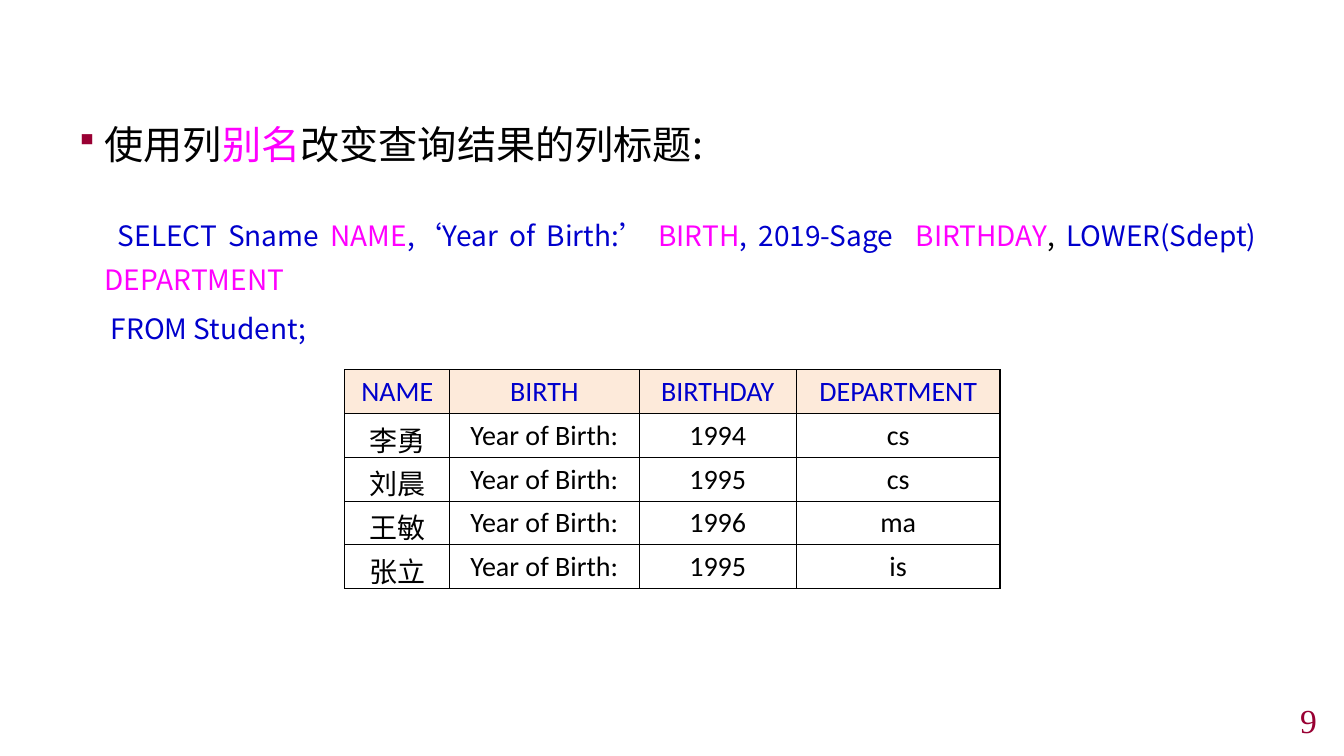
from dataclasses import dataclass

from lxml import etree
from pptx import Presentation
from pptx.dml.color import RGBColor
from pptx.enum.text import MSO_ANCHOR, PP_ALIGN
from pptx.oxml.ns import qn
from pptx.util import Emu, Inches, Pt

BLACK = RGBColor(0x00, 0x00, 0x00)
BLUE = RGBColor(0x00, 0x00, 0xCC)
MAGENTA = RGBColor(0xFF, 0x00, 0xFF)
CRIMSON = RGBColor(0x99, 0x00, 0x33)
PEACH = RGBColor(0xFD, 0xEA, 0xDA)
LEFT, CENTER, RIGHT = PP_ALIGN.LEFT, PP_ALIGN.CENTER, PP_ALIGN.RIGHT
JUSTIFY = PP_ALIGN.JUSTIFY
TOP, MIDDLE = MSO_ANCHOR.TOP, MSO_ANCHOR.MIDDLE
CJK, LATIN, SERIF = "Noto Sans CJK SC", "Calibri", "Times New Roman"

prs = Presentation()
prs.slide_width, prs.slide_height = Inches(13.33), Inches(7.5)


def across(percent: float) -> Emu:
    return Emu(round(prs.slide_width * percent / 100))


def down(percent: float) -> Emu:
    return Emu(round(prs.slide_height * percent / 100))


@dataclass
class Line:
    runs: list[tuple[str, RGBColor]]
    size: int
    font: str = CJK
    align: PP_ALIGN = LEFT
    before: float = 0
    spacing: float = 1.0
    margin: float = 0
    indent: float = 0
    bullet: str = ""


@dataclass
class Box:
    left: float
    top: float
    width: float
    height: float
    anchor: MSO_ANCHOR
    lines: list[Line]


def add_bullet(p, char: str) -> None:
    pPr = p._p.get_or_add_pPr()
    color = etree.SubElement(pPr, qn("a:buClr"))
    etree.SubElement(color, qn("a:srgbClr"), val=str(CRIMSON))
    etree.SubElement(pPr, qn("a:buSzPct"), val="80000")
    etree.SubElement(pPr, qn("a:buChar"), char=char)


def write_line(p, line: Line) -> None:
    if line.bullet:
        add_bullet(p, line.bullet)
    if line.margin:
        pPr = p._p.get_or_add_pPr()
        pPr.set("marL", str(Inches(line.margin)))
        pPr.set("indent", str(Inches(line.indent)))
    layout = {"alignment": line.align, "line_spacing": line.spacing,
              "space_before": Pt(line.before)}
    for name, value in layout.items():
        setattr(p, name, value)
    for text, color in line.runs:
        r = p.add_run()
        r.text = text
        for name, value in {"size": Pt(line.size), "name": line.font}.items():
            setattr(r.font, name, value)
        r.font.color.rgb = color
        etree.SubElement(r._r.get_or_add_rPr(), qn("a:ea"), typeface=CJK)


def add_box(s, box: Box) -> None:
    sp = s.shapes.add_textbox(across(box.left), down(box.top),
                              across(box.width), down(box.height))
    tf = sp.text_frame
    for name, value in {"word_wrap": True, "vertical_anchor": box.anchor}.items():
        setattr(tf, name, value)
    for i, line in enumerate(box.lines):
        write_line(tf.add_paragraph() if i else tf.paragraphs[0], line)


def add_borders(cell) -> None:
    tcPr = cell._tc.get_or_add_tcPr()
    for side in ("a:lnL", "a:lnR", "a:lnT", "a:lnB"):
        ln = etree.SubElement(tcPr, qn(side), w=str(Pt(1)))
        fill = etree.SubElement(ln, qn("a:solidFill"))
        etree.SubElement(fill, qn("a:srgbClr"), val=str(BLACK))


s = prs.slides.add_slide(prs.slide_layouts[6])

# Heading, query and slide number
heading = Line([("使用列", BLACK), ("别名", MAGENTA), ("改变查询结果的列标题:", BLACK)],
               28, align=JUSTIFY, spacing=1.3, margin=0.29, indent=-0.29, bullet="▪")
select = Line([("SELECT Sname ", BLUE), ("NAME", MAGENTA), (",‘Year of Birth:’ ", BLUE),
               ("BIRTH", MAGENTA), (", 2019-Sage  ", BLUE), ("BIRTHDAY", MAGENTA),
               (", ", BLACK), ("LOWER(Sdept) ", BLUE), ("DEPARTMENT", MAGENTA)],
              20, align=JUSTIFY, before=30, spacing=1.3, margin=0.29, indent=0.13)
source = Line([("FROM Student;", BLUE)], 20, before=4, spacing=1.3,
              margin=0.29, indent=0.06)
number = Line([("9", CRIMSON)], 24, font=SERIF, align=RIGHT)

for box in (Box(4.88, 13.33, 89.35, 81, TOP, [heading, select, source]),
            Box(77.5, 93.2, 21.23, 4.13, MIDDLE, [number])):
    add_box(s, box)

# Query result
COLUMN_SHARES = (7.8, 14.1, 11.7, 15.15)
ROW_SHARE = 5.47
STUDENTS = (("李勇", 1994, "cs"), ("刘晨", 1995, "cs"),
            ("王敏", 1996, "ma"), ("张立", 1995, "is"))
rows = [("NAME", "BIRTH", "BIRTHDAY", "DEPARTMENT")]
rows += [(name, "Year of Birth:", str(year), dept) for name, year, dept in STUDENTS]

table = s.shapes.add_table(len(rows), len(COLUMN_SHARES), across(25.66), down(48.93),
                           across(sum(COLUMN_SHARES)), down(ROW_SHARE * len(rows))).table
for column, share in zip(table.columns, COLUMN_SHARES):
    column.width = across(share)
for i, values in enumerate(rows):
    table.rows[i].height = down(ROW_SHARE)
    for j, value in enumerate(values):
        cell = table.cell(i, j)
        add_borders(cell)
        if i == 0:
            cell.fill.solid()
            cell.fill.fore_color.rgb = PEACH
        else:
            cell.fill.background()
        write_line(cell.text_frame.paragraphs[0],
                   Line([(value, BLACK if i else BLUE)], 20, LATIN, CENTER))

prs.save("out.pptx")
